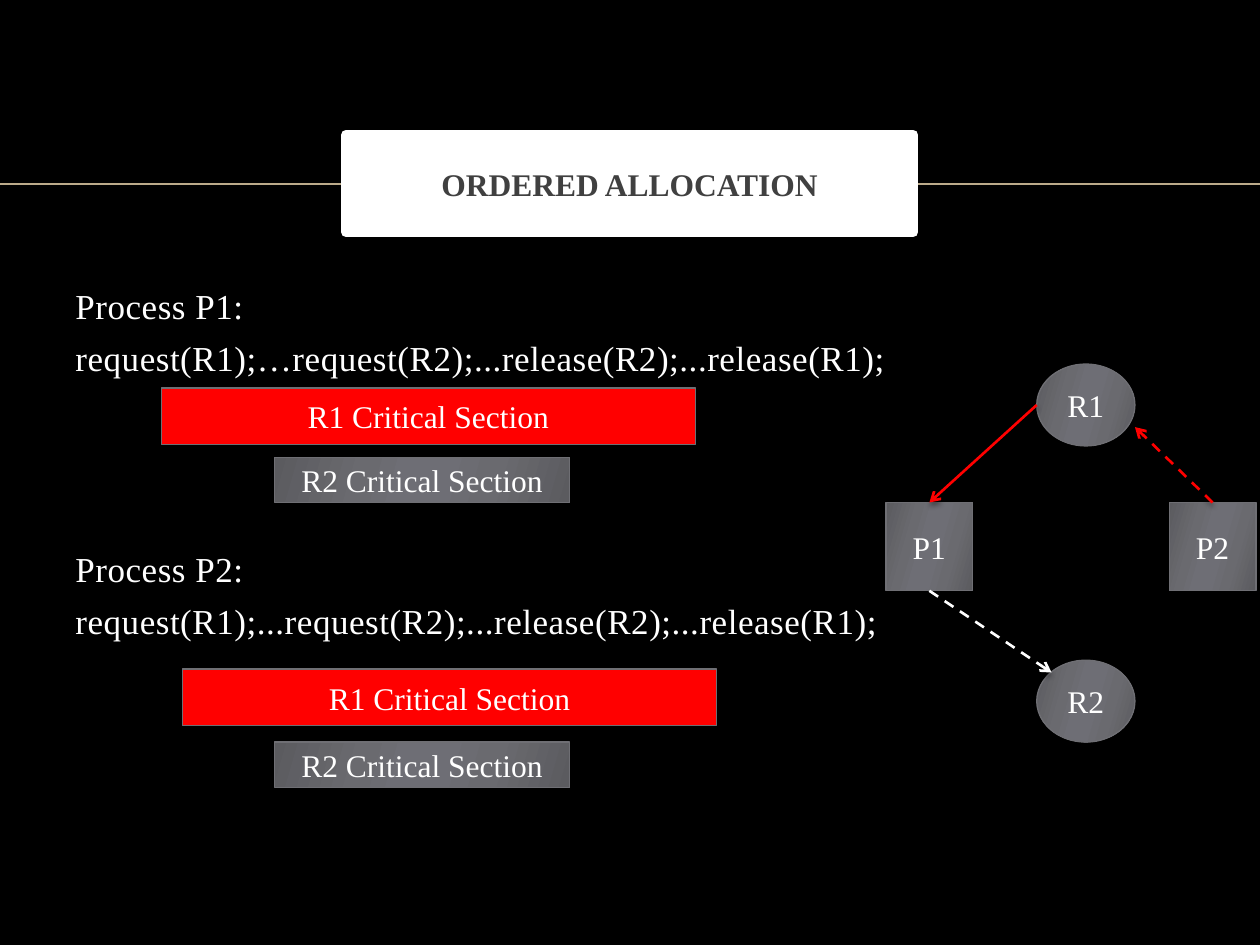
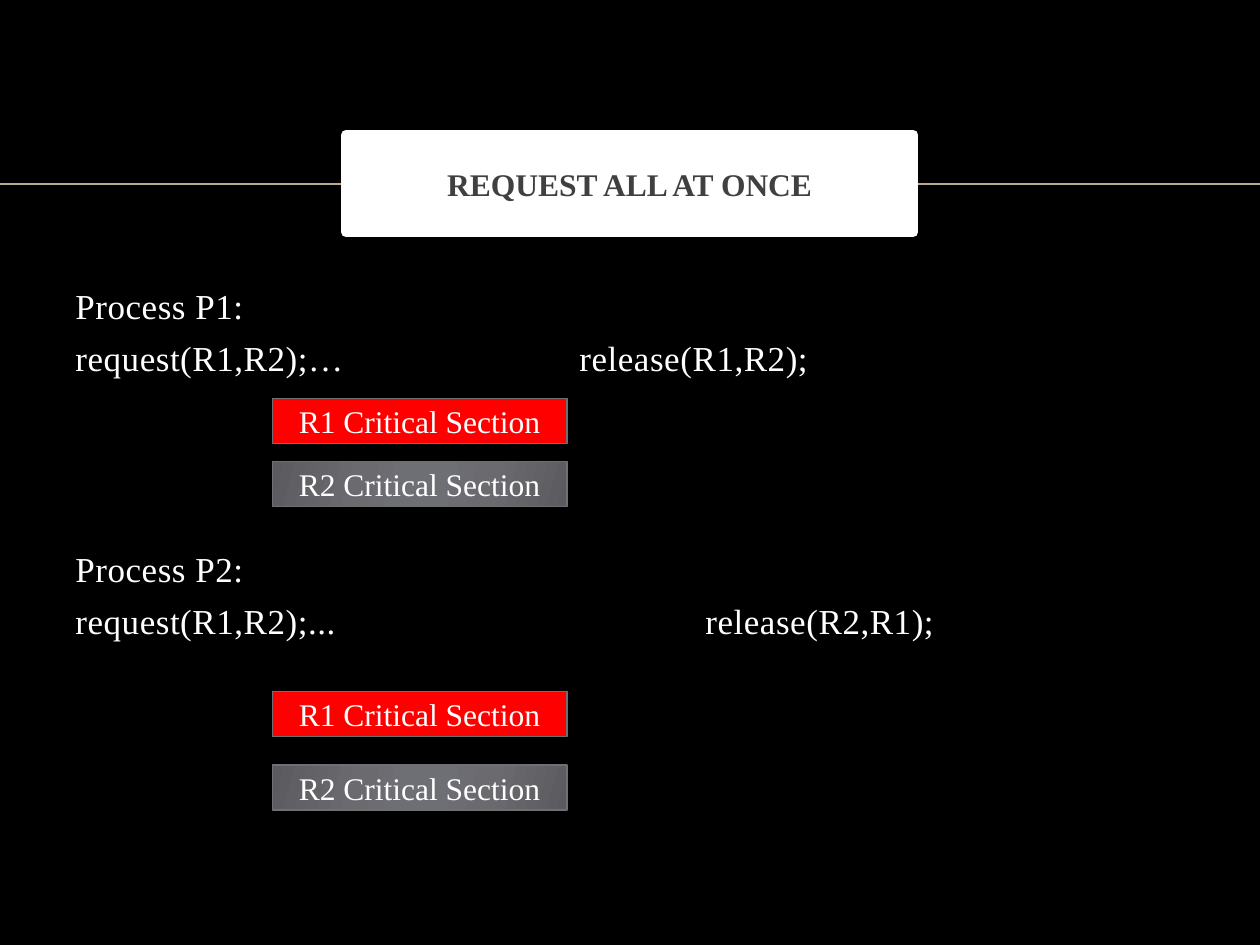
import pptx
import pptx.util
import pptx.dml.color
import pptx.enum.dml
import pptx.enum.shapes
import pptx.enum.text
import pptx.oxml
import pptx.oxml.ns
from lxml import etree

Cm, Pt = pptx.util.Cm, pptx.util.Pt
qn = pptx.oxml.ns.qn
KIND = pptx.enum.shapes.MSO_SHAPE
ALIGN = pptx.enum.text.PP_ALIGN

# Content: lengths in cm
FONT = "Times New Roman"
HUES = {"back": "000000", "rule": "BBAA8A", "white": "FFFFFF", "title": "404040",
        "red": "FF0000", "edge": "6F6F74"}
GREYS = [(0, "5B5B5F"), (30, "6A6A6F"), (45, "6E6E75"),
         (55, "6E6E75"), (73, "6A6A6F"), (100, "5B5B5F")]

WIDE, THIN = (10.77, 1.14), (5.94, 0.91)
RING, BOX = (1.98, 1.65), (1.75, 1.78)
R1, R2 = "R1 Critical Section", "R2 Critical Section"

SLIDES = [
    {"title": "ORDERED ALLOCATION",
     "code": [("Process P1:", "request(R1);…request(R2);...release(R2);...release(R1);"),
              ("Process P2:", "request(R1);...request(R2);...release(R2);...release(R1);")],
     "bars": [(R1, 3.25, 7.82, WIDE), (R2, 5.54, 9.22, THIN),
              (R1, 3.68, 13.49, WIDE), (R2, 5.54, 14.96, THIN)],
     "nodes": {"R1": (20.9, 7.34, RING), "P1": (17.86, 10.13, BOX),
               "R2": (20.9, 13.31, RING), "P2": (23.57, 10.13, BOX)},
     # Each end is a node and a spot on its frame, as shares of width and height
     "links": [(("R1", 0, 0.5), ("P1", 0.5, 0), "red", False),
               (("P1", 0.5, 1), ("R2", 0.15, 0.15), "white", True),
               (("P2", 0.5, 0), ("R1", 1, 0.77), "red", True)]},
    {"title": "REQUEST ALL AT ONCE",
     "code": [("Process P1:", "request(R1,R2);…\trelease(R1,R2);"),
              ("Process P2:", "request(R1,R2);...\trelease(R2,R1);")],
     "tabs": [10.16, 12.7],
     "bars": [(R1, 5.49, 8.03, THIN), (R2, 5.49, 9.3, THIN),
              (R1, 5.49, 13.94, THIN), (R2, 5.49, 15.42, THIN)]},
]

# Text formats
TITLE = {"name": FONT, "size": Pt(18), "bold": True}
LABEL = {"name": FONT, "size": Pt(18), "bold": False}
CODE = {"name": FONT, "size": Pt(20), "bold": False}
PARA = {"line_spacing": Pt(24), "space_before": Pt(6)}
GAP = Pt(96)  # room above the second process


def rgb(key):
    return pptx.dml.color.RGBColor.from_string(HUES[key])


def apply(item, form):
    for key, val in form.items():
        setattr(item, key, val)


def write(para, text, form, hue):
    run = para.add_run()
    run.text = text
    apply(run.font, form)
    run.font.color.rgb = rgb(hue)
    return run


def sub(root, tag, **vals):
    return etree.SubElement(root, qn(tag), {k: str(v) for k, v in vals.items()})


def tint(root, hue, alpha=None):
    node = sub(root, "a:srgbClr", val=hue)
    if alpha:
        sub(node, "a:alpha", val=alpha * 1000)


def shade(part, blur, dist):
    """Drop a soft black shadow straight down."""
    props = part._element.spPr
    box = props.find(qn("a:effectLst"))
    if box is None:
        box = sub(props, "a:effectLst")
    drop = sub(box, "a:outerShdw", blurRad=int(Pt(blur)), dist=int(Pt(dist)),
               dir=90 * 60000, rotWithShape=0)
    tint(drop, HUES["back"], 40)


def blend(shape):
    """Fill with the grey metal gradient."""
    shape.fill.gradient()
    shape.fill.gradient_angle = 344
    stops = shape._element.spPr.find(qn("a:gradFill")).find(qn("a:gsLst"))
    for old in list(stops):
        stops.remove(old)
    for pos, hue in GREYS:
        tint(sub(stops, "a:gs", pos=pos * 1000), hue)


def block(slide, kind, frame, text, form, hue, fill, edge, width):
    """Draw a shape with one centred line of text."""
    shape = slide.shapes.add_shape(kind, *map(Cm, frame))
    if fill:
        shape.fill.solid()
        shape.fill.fore_color.rgb = rgb(fill)
    else:
        blend(shape)
    shape.line.color.rgb = rgb(edge)
    shape.line.width = Pt(width)
    shape.shadow.inherit = False
    apply(shape.text_frame, {"word_wrap": True,
                             "vertical_anchor": pptx.enum.text.MSO_ANCHOR.MIDDLE})
    para = shape.text_frame.paragraphs[0]
    para.alignment = ALIGN.CENTER
    write(para, text, form, hue)
    return shape


def panel(slide, kind, text, left, top, size, fill=None):
    shape = block(slide, kind, (left, top, *size), text, LABEL, "white", fill, "edge", 0.75)
    shade(shape, 4, 3.3)


def stroke(slide, start, end, hue, width):
    line = slide.shapes.add_connector(pptx.enum.shapes.MSO_CONNECTOR.STRAIGHT,
                                      *map(Cm, (*start, *end)))
    line.line.color.rgb = rgb(hue)
    line.line.width = Pt(width)
    return line


def base(slide, title, code, tabs):
    """Background, rule, code lines and title plate."""
    slide.background.fill.solid()
    slide.background.fill.fore_color.rgb = rgb("back")
    rule = stroke(slide, (0, 3.71), (25.4, 3.71), "rule", 1)
    sub(rule._element.spPr, "a:effectLst")

    frame = slide.shapes.add_textbox(*map(Cm, (1.27, 5.61, 22.86, 11.33))).text_frame
    frame.word_wrap = True
    for num, pair in enumerate(code):
        for row, text in enumerate(pair):
            para = frame.add_paragraph() if num or row else frame.paragraphs[0]
            apply(para, PARA)
            if num and not row:
                para.space_before = GAP
            if "\t" in text:
                stops = sub(para._p.get_or_add_pPr(), "a:tabLst")
                sub(stops, "a:tab", pos=int(Cm(tabs[num])), algn="l")
            run = write(para, text, CODE, "white")
            run._r.get_or_add_rPr().set("spc", "30")

    block(slide, KIND.RECTANGLE, (6.98, 2.72, 11.43, 1.96), title, TITLE, "title",
          "white", "white", 6)


def graph(slide, nodes, links):
    """Resource graph: rings hold resources, boxes hold processes."""
    for name, (left, top, size) in nodes.items():
        panel(slide, KIND.OVAL if size == RING else KIND.RECTANGLE, name, left, top, size)

    def spot(name, across, down):
        left, top, (wide, high) = nodes[name]
        return left + across * wide, top + down * high

    for start, end, hue, dash in links:
        line = stroke(slide, spot(*start), spot(*end), hue, 1.5)
        if dash:
            line.line.dash_style = pptx.enum.dml.MSO_LINE.DASH
        sub(line.line._get_or_add_ln(), "a:tailEnd", type="arrow")
        shade(line, 3, 2)


def main():
    deck = pptx.Presentation()
    apply(deck, {"slide_width": Cm(25.4), "slide_height": Cm(19.05)})
    for data in SLIDES:
        slide = deck.slides.add_slide(deck.slide_layouts[6])
        base(slide, data["title"], data["code"], data.get("tabs"))
        for text, left, top, size in data["bars"]:
            panel(slide, KIND.RECTANGLE, text, left, top, size, "red" if text == R1 else None)
        graph(slide, data.get("nodes", {}), data.get("links", []))
    deck.save("out.pptx")


if __name__ == "__main__":
    main()
